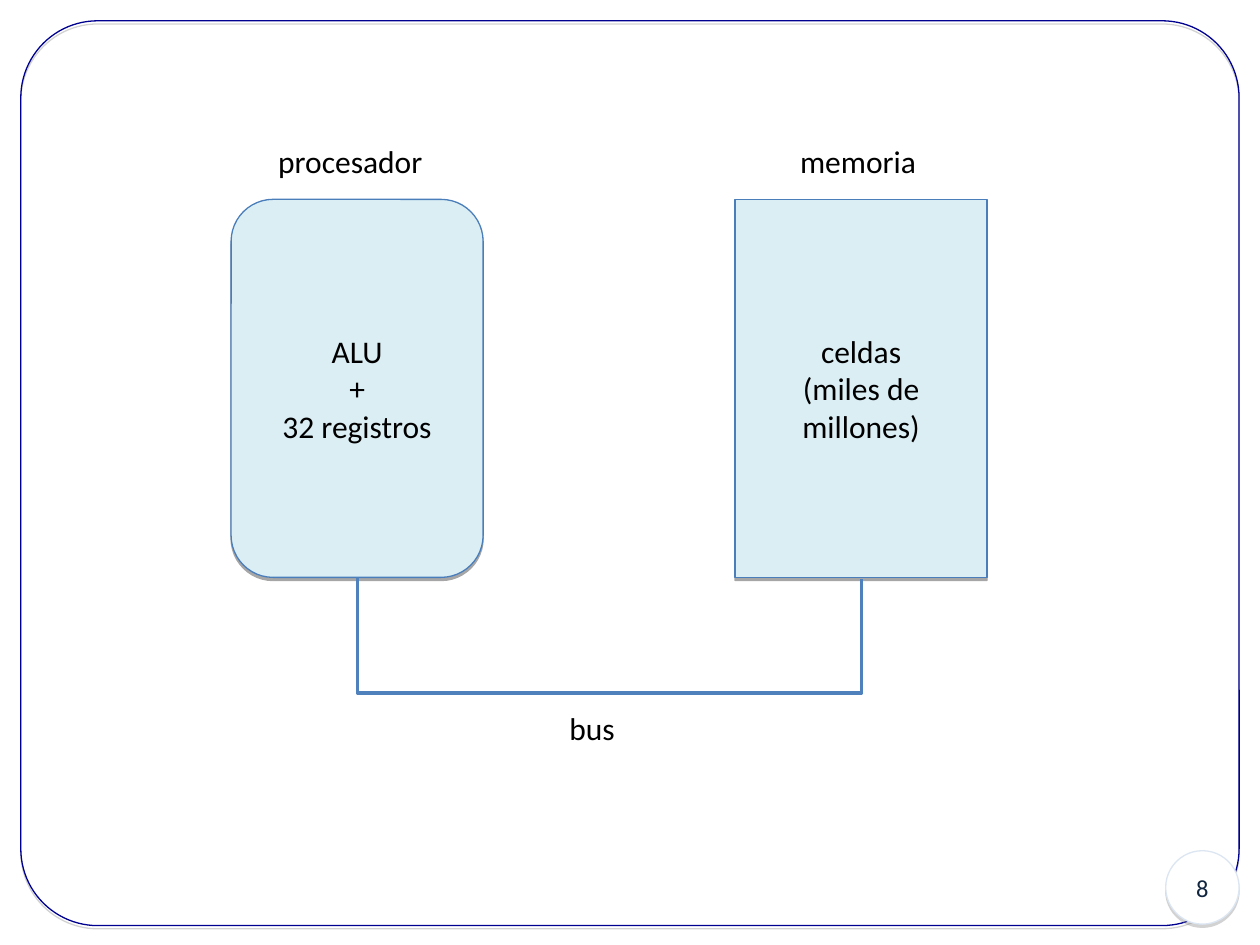
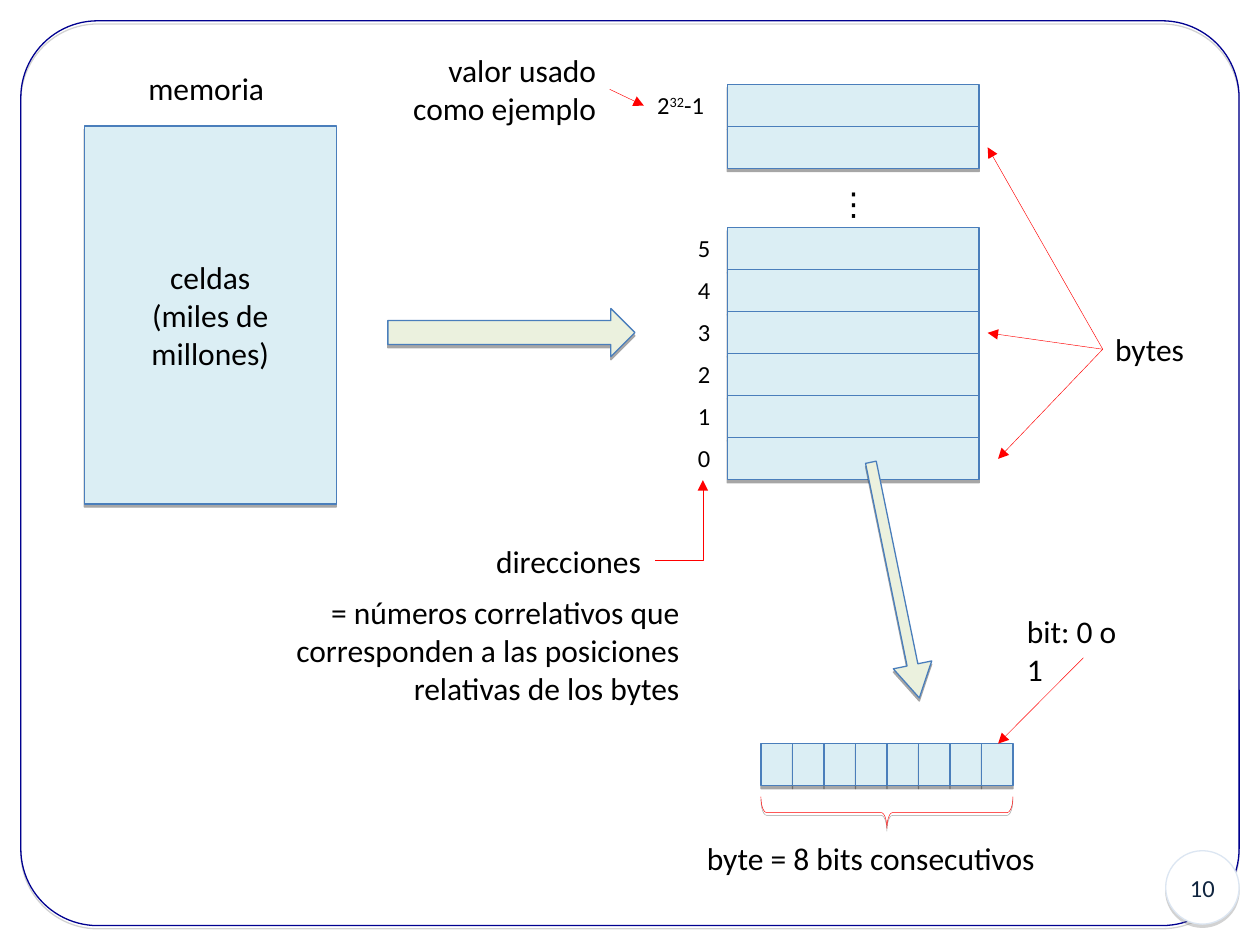
from lxml.etree import SubElement
from pptx import Presentation
from pptx.dml.color import RGBColor
from pptx.enum.shapes import MSO_CONNECTOR, MSO_SHAPE
from pptx.enum.text import MSO_ANCHOR, MSO_AUTO_SIZE, PP_ALIGN
from pptx.oxml.ns import qn
from pptx.util import Cm, Pt

COLOURS = {
    "text": "000000",
    "number": "10253F",
    "frame": "000090",
    "badge": "FFFFFF",
    "badge_edge": "DCE6F2",
    "cell": "DBEEF4",
    "edge": "4A7EBB",
    "arrow": "EBF1DE",
    "bus": "4F81BD",
    "pointer": "FF0000",
    "grey": "808080",
}
BLOCK_WIDTH, BLOCK_HEIGHT = 5.08, 7.62
CELL_HEIGHT = BLOCK_HEIGHT / 9
BIT_WIDTH = BLOCK_WIDTH / 8
LABEL_HEIGHT = 1.02
CELLS_LEFT = 14.66
LOW_CELLS, HIGH_CELLS = 6, 2
MEMORY_LINES = ["celdas", "(miles de", "millones)"]


def colour(name):
    """Return a named colour as an RGB value."""
    return RGBColor.from_string(COLOURS[name])


def apply_format(target, values):
    """Set each attribute in a dict of format values."""
    for name, value in values.items():
        setattr(target, name, value)


def write_lines(frame, lines, size=18, font="Calibri", ink="text", align=PP_ALIGN.LEFT):
    """Write one paragraph per line and return the last span."""
    for index, line in enumerate(lines):
        para = frame.paragraphs[0] if index == 0 else frame.add_paragraph()
        para.alignment = align
        span = add_span(para, line, size, font, ink)
    return span


def add_span(para, text, size=18, font="Calibri", ink="text"):
    """Add formatted text to a paragraph."""
    span = para.add_run()
    span.text = text
    apply_format(span.font, {"size": Pt(size), "name": font})
    span.font.color.rgb = colour(ink)
    return span


def add_shadow(shape, ink, opacity=35, distance=1.8):
    """Give a shape a hard shadow straight below it."""
    shape.shadow.inherit = False
    effects = shape._element.spPr.find(qn("a:effectLst"))
    shadow = SubElement(effects, qn("a:outerShdw"), blurRad="0", dist=str(Pt(distance)),
                        dir="5400000", rotWithShape="0")
    shade = SubElement(shadow, qn("a:srgbClr"), val=COLOURS[ink])
    SubElement(shade, qn("a:alpha"), val=str(opacity * 1000))


def add_figure(page, kind, area, fill="cell", edge="edge", shade="text", lines=(),
               adjust=(), rotation=0, width=0.75, **style):
    """Add an outlined preset shape with a shadow and centred text."""
    shape = page.shapes.add_shape(kind, *map(Cm, area))
    add_shadow(shape, shade)
    if fill:
        shape.fill.solid()
        shape.fill.fore_color.rgb = colour(fill)
    else:
        shape.fill.background()
    shape.line.color.rgb = colour(edge)
    shape.line.width = Pt(width)
    shape.rotation = rotation
    for index, value in enumerate(adjust):
        shape.adjustments[index] = value
    if lines:
        shape.text_frame.vertical_anchor = MSO_ANCHOR.MIDDLE
        write_lines(shape.text_frame, lines, align=PP_ALIGN.CENTER, **style)
    return shape


def add_label(page, lines, left, top, width, height=LABEL_HEIGHT, **style):
    """Add an unwrapped text box and return its last paragraph."""
    box = page.shapes.add_textbox(Cm(left), Cm(top), Cm(width), Cm(height))
    apply_format(box.text_frame, {"word_wrap": False,
                                  "auto_size": MSO_AUTO_SIZE.SHAPE_TO_FIT_TEXT})
    write_lines(box.text_frame, lines, **style)
    return box.text_frame.paragraphs[-1]


def add_line(page, start, end, ink="pointer", width=0.25, kind=MSO_CONNECTOR.STRAIGHT, head=True):
    """Add a connector, with an arrowhead at its end if asked."""
    line = page.shapes.add_connector(kind, *map(Cm, (*start, *end)))
    line.line.color.rgb = colour(ink)
    line.line.width = Pt(width)
    properties = line._element.spPr
    if head:
        SubElement(properties.find(qn("a:ln")), qn("a:tailEnd"), type="triangle")
    SubElement(properties, qn("a:effectLst"))
    return line


def add_bus(page):
    """Add the U-shaped bus below the processor and the memory."""
    bus = add_line(page, (12.31, 6.58), (12.27, 16.74), "bus", 2, MSO_CONNECTOR.ELBOW, False)
    properties = bus._element.spPr
    properties.find(qn("a:xfrm")).set("rot", str(270 * 60000))
    guides = properties.find(qn("a:prstGeom")).find(qn("a:avLst"))
    SubElement(guides, qn("a:gd"), name="adj1", fmla="val 5825000")


def add_cells(page, left, top, count, width=BLOCK_WIDTH, across=False):
    """Add a row or a column of touching cells."""
    for index in range(count):
        x = left + index * width * across
        y = top + index * CELL_HEIGHT * (not across)
        add_figure(page, MSO_SHAPE.RECTANGLE, (x, y, width, CELL_HEIGHT))


def add_memory(page, left, top, label_left, label_top):
    """Add the memory block and its label."""
    add_figure(page, MSO_SHAPE.RECTANGLE, (left, top, BLOCK_WIDTH, BLOCK_HEIGHT),
               lines=MEMORY_LINES)
    add_label(page, ["memoria"], label_left, label_top, 2.84)


def add_page(deck, number):
    """Add a blank page with the shared frame and number badge."""
    page = deck.slides.add_slide(deck.slide_layouts[6])
    add_figure(page, MSO_SHAPE.ROUNDED_RECTANGLE, (0.42, 0.42, 24.56, 18.24), None,
               "frame", "grey", adjust=[0.085])
    add_figure(page, MSO_SHAPE.OVAL, (23.5, 17.15, 1.48, 1.48), "badge", "badge_edge", "grey",
               lines=[str(number)], size=14, ink="number")
    return page


def build_computer(deck):
    """Build the page with processor, memory and bus."""
    page = add_page(deck, 8)
    add_memory(page, 14.82, 4.02, 15.88, 2.74)
    add_figure(page, MSO_SHAPE.ROUNDED_RECTANGLE, (4.66, 4.02, BLOCK_WIDTH, BLOCK_HEIGHT),
               lines=["ALU", "+", "32 registros"])
    add_label(page, ["procesador"], 5.36, 2.74, 3.43)
    add_bus(page)
    add_label(page, ["bus"], 11.23, 14.17, 1.42)


def build_addresses(page):
    """Add the column of bytes with its addresses."""
    low_top, high_top = 4.59, 1.7
    add_cells(page, CELLS_LEFT, low_top, LOW_CELLS)
    add_cells(page, CELLS_LEFT, high_top, HIGH_CELLS)
    add_label(page, ["⋮"], 16.64, 3.58, 1.14, font="Arial")
    for row in range(LOW_CELLS):
        add_label(page, [str(LOW_CELLS - 1 - row)], 13.82, low_top - 0.01 + row * CELL_HEIGHT,
                  0.76, 0.86, size=14)
    para = add_label(page, ["2"], 13, high_top, 1.45, 0.86, size=14)
    exponent = add_span(para, "32", 14)
    exponent.font._element.set("baseline", "30000")
    add_span(para, "-1", 14)


def build_byte(page):
    """Add the byte made of eight bits with its notes."""
    left, top = 15.34, 14.99
    add_cells(page, left, top, 8, BIT_WIDTH, across=True)
    add_label(page, ["bit: 0 o 1"], 20.45, 12.22, 2.77)
    add_line(page, (21.84, 13.26), (20.12, top))
    brace = add_figure(page, MSO_SHAPE.LEFT_BRACE, (17.56, 13.84, 0.64, BLOCK_WIDTH), None,
                       "pointer", adjust=[0.18, 0.5], rotation=270, width=0.25)
    add_shadow(brace, "text", 38, 1.6)
    add_label(page, ["byte = 8 bits consecutivos"], 14, 16.79, 7.14)


def build_memory(deck):
    """Build the page that details the memory."""
    page = add_page(deck, 10)
    build_byte(page)
    build_addresses(page)
    add_label(page, ["direcciones"], 9.75, 10.8, 3.43)
    elbow = add_line(page, (13.21, 11.3), (14.17, 9.68), kind=MSO_CONNECTOR.ELBOW)
    elbow._element.spPr.find(qn("a:prstGeom")).set("prst", "bentConnector2")
    add_label(page, ["bytes"], 22.23, 6.53, 1.91)
    for target in ((20.12, 9.25), (19.91, 6.71), (19.91, 2.97)):
        add_line(page, (22.23, 7.04), target)
    add_label(page, ["= números correlativos que", "corresponden a las posiciones",
                     "relativas de los bytes"], 5.72, 11.84, 8.23, 2.54, align=PP_ALIGN.RIGHT)
    add_memory(page, 1.7, 2.54, 2.74, 1.27)
    add_figure(page, MSO_SHAPE.RIGHT_ARROW, (7.82, 6.22, 4.98, 0.97), "arrow")
    add_figure(page, MSO_SHAPE.DOWN_ARROW, (17.65, 9.27, 0.79, 4.85), "arrow",
               adjust=[0.28, 0.86], rotation=348.4)
    add_label(page, ["valor usado", "como ejemplo"], 8.08, 0.91, 4.19, 1.78,
              align=PP_ALIGN.RIGHT)
    add_line(page, (12.29, 1.8), (12.98, 2.13))


def main():
    """Build and save the deck."""
    deck = Presentation()
    apply_format(deck, {"slide_width": Cm(25.4), "slide_height": Cm(19.05)})
    build_computer(deck)
    build_memory(deck)
    deck.save("out.pptx")


if __name__ == "__main__":
    main()
